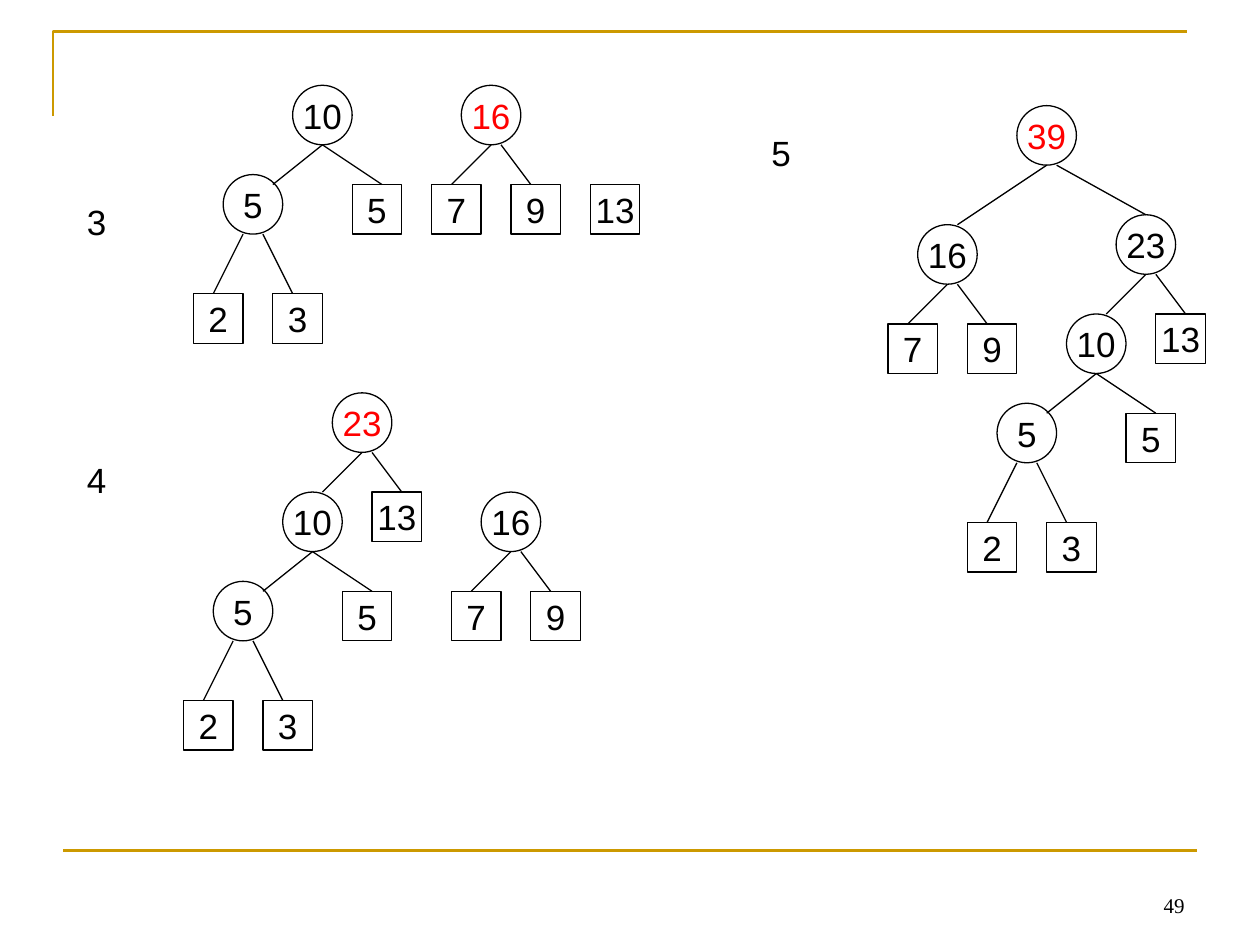
"""Builds a slide with steps 3 to 5 of a Huffman tree merge."""
from lxml import etree
from pptx import Presentation
from pptx.dml.color import RGBColor
from pptx.enum.shapes import MSO_CONNECTOR, MSO_SHAPE
from pptx.enum.text import MSO_ANCHOR, PP_ALIGN
from pptx.oxml.ns import qn
from pptx.util import Inches, Pt

CIRCLE, SQUARE = MSO_SHAPE.OVAL, MSO_SHAPE.RECTANGLE
STRAIGHT = MSO_CONNECTOR.STRAIGHT
TOP, MIDDLE, BOTTOM = MSO_ANCHOR.TOP, MSO_ANCHOR.MIDDLE, MSO_ANCHOR.BOTTOM
LEFT, CENTER, RIGHT = PP_ALIGN.LEFT, PP_ALIGN.CENTER, PP_ALIGN.RIGHT
BLACK, RED, GOLD = "000000", "FF0000", "CC9900"

deck = Presentation()
deck.slide_width, deck.slide_height = Inches(10), Inches(7.5)
page = deck.slides.add_slide(deck.slide_layouts[6])
UNIT = deck.slide_width / 127
SIZES = {CIRCLE: 6, SQUARE: 5}


def write(box, text, font="Arial", size=20, color=BLACK, align=LEFT, anchor=TOP, wrap=True, before=0):
    frame = box.text_frame
    frame.word_wrap = wrap
    frame.vertical_anchor = anchor
    para = frame.paragraphs[0]
    para.alignment = align
    para.space_before = Pt(before)
    span = para.add_run()
    span.text = text
    span.font.name, span.font.size = font, Pt(size)
    span.font.color.rgb = RGBColor.from_string(color)


def draw_line(start, end, color=BLACK, width=0.75):
    ends = [round(value * UNIT) for value in (*start, *end)]
    line = page.shapes.add_connector(STRAIGHT, *ends)
    line.line.color.rgb = RGBColor.from_string(color)
    line.line.width = Pt(width)
    etree.SubElement(line._element.spPr, qn("a:effectLst"))


corner = page.shapes.build_freeform(Inches(0.42), Inches(0.92))
corner.add_line_segments([(Inches(0.42), Inches(0.25)), (Inches(9.42), Inches(0.25))], close=False)
bracket = corner.convert_to_shape()
bracket.shadow.inherit = False
bracket.fill.background()
bracket.line.color.rgb = RGBColor.from_string(GOLD)
bracket.line.width = Pt(1.5)
draw_line((6.35, 85.73), (120.65, 85.73), GOLD, 1.5)

FORK = [(3, 6, -1, 10), (4, 6, 7, 10)]
NODES = {
    "10": [(CIRCLE, "10", 0, 0), (CIRCLE, "5", -7, 9), (SQUARE, "5", 6, 10),
           (SQUARE, "2", -10, 21), (SQUARE, "3", -2, 21)],
    "16": [(CIRCLE, "16", 0, 0), (SQUARE, "7", -3, 10), (SQUARE, "9", 5, 10)],
    "23": [(CIRCLE, "23", 0, 0), (SQUARE, "13", 4, 10)],
    "39": [(CIRCLE, "39", 0, 0)],
    "13": [(SQUARE, "13", 0, 0)],
}
EDGES = {
    "10": [(3, 6, -2, 10), (3, 6, 9, 10), (-5, 15, -8, 21), (-3, 15, 0, 21)],
    "16": FORK,
    "23": FORK,
    "39": [(3, 6, -6, 12), (4, 6, 13, 11)],
    "13": [],
}
STEPS = [
    ("3", 29.5, 8.6, (-22, 11), "16", {"10": (0, 0), "16": (17, 0), "13": (30, 10)}),
    ("4", 33.5, 39.6, (-26, 6), "23", {"23": (0, 0), "10": (-5, 10), "16": (15, 10)}),
    ("5", 102.5, 10.65, (-26, 2), "39",
     {"39": (0, 0), "16": (-10, 12), "23": (10, 11), "10": (5, 21)}),
]

for step, column, row, (label_x, label_y), newest, trees in STEPS:
    place = [(column + label_x) * UNIT, (row + label_y) * UNIT, 12 * UNIT, 5.6 * UNIT]
    label = page.shapes.add_textbox(*map(round, place))
    write(label, step, before=12.5)
    for tree, (shift_x, shift_y) in trees.items():
        left, top = column + shift_x, row + shift_y
        for x1, y1, x2, y2 in EDGES[tree]:
            draw_line((left + x1, top + y1), (left + x2, top + y2))
        for kind, weight, x, y in NODES[tree]:
            side = SIZES[kind]
            place = [(left + x) * UNIT, (top + y) * UNIT, side * UNIT, side * UNIT]
            node = page.shapes.add_shape(kind, *map(round, place))
            node.shadow.inherit = False
            node.fill.background()
            node.line.color.rgb = RGBColor.from_string(BLACK)
            node.line.width = Pt(0.75)
            color = RED if weight == newest else BLACK
            write(node, weight, color=color, align=CENTER, anchor=MIDDLE, wrap=False)

number = page.shapes.add_textbox(Inches(7.17), Inches(6.83), Inches(2.33), Inches(0.5))
write(number, "49", font="Times New Roman", size=12, align=RIGHT, anchor=BOTTOM)

deck.save("out.pptx")
